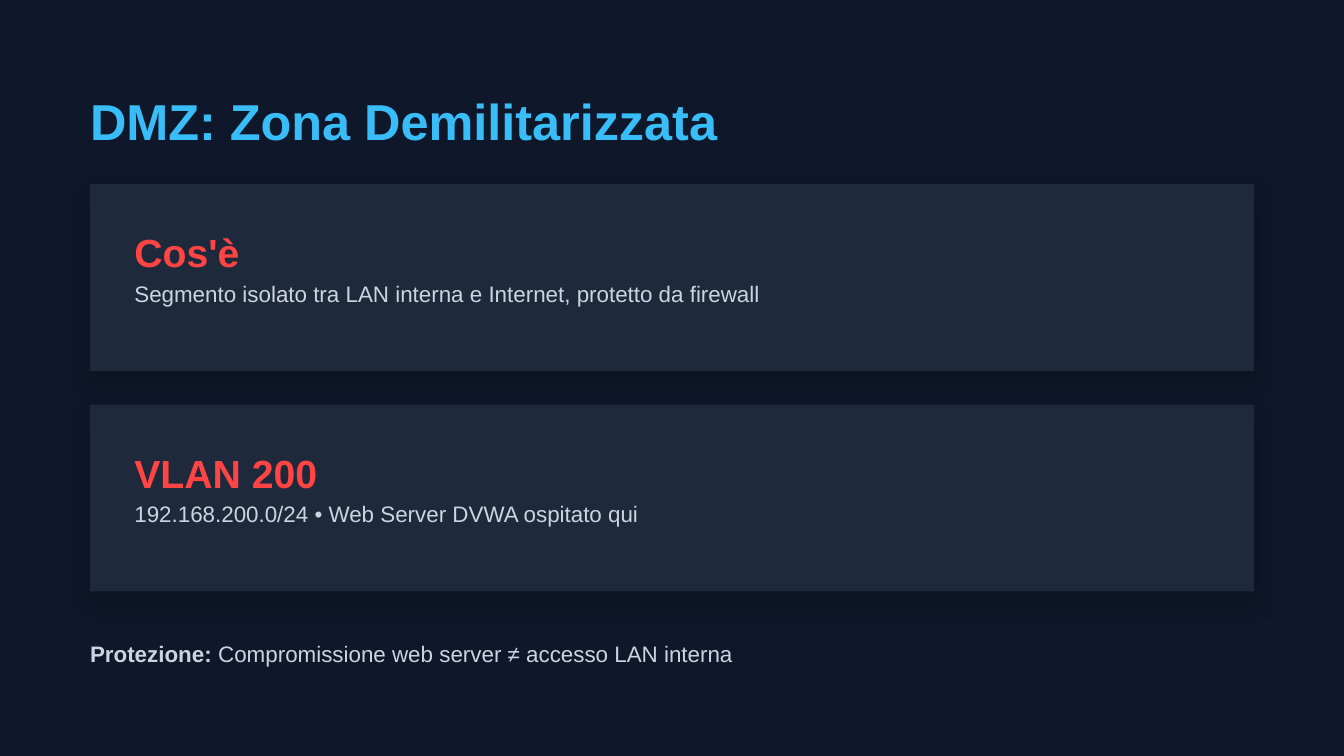
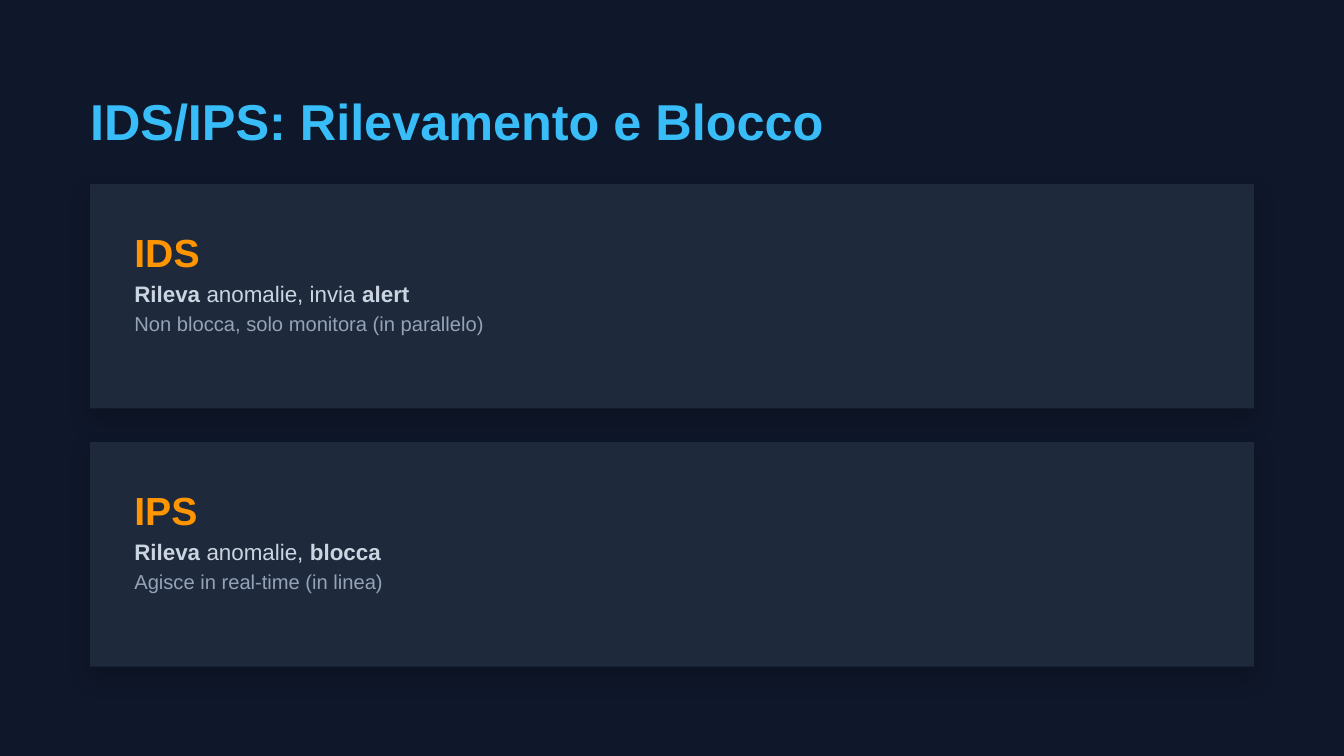
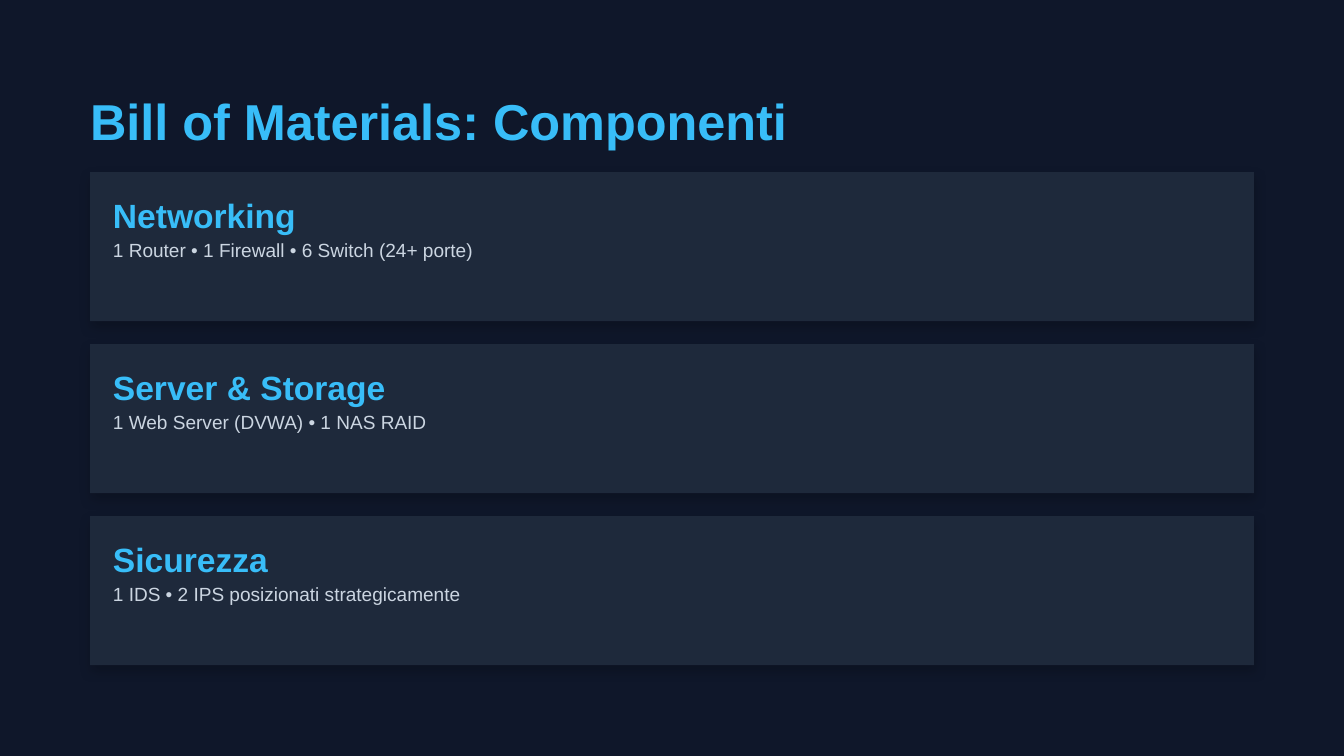
"""Build three dark slides of cards about network security."""

from dataclasses import dataclass

from lxml.etree import SubElement
from pptx import Presentation
from pptx.dml.color import RGBColor
from pptx.enum.shapes import MSO_SHAPE
from pptx.enum.text import MSO_ANCHOR, MSO_AUTO_SIZE, PP_ALIGN
from pptx.oxml.ns import qn
from pptx.shapes.autoshape import Shape
from pptx.slide import Slide
from pptx.util import Inches, Pt

COLORS = {
    "background": "0F172A",
    "card": "1E293B",
    "shadow": "000000",
    "sky": "38BDF8",
    "red": "FF4444",
    "orange": "FF9500",
    "body": "CBD5E1",
    "muted": "94A3B8",
}
FONT = "Arial"
MARGIN = 0.67
CONTENT_WIDTH = 10 - 2 * MARGIN
TEXT_SLACK = 1.02
TITLE_SIZE = 27
HEADING_LEADING = 1.2
BODY_LEADING = 1.4
TITLE_ONLY = 5


@dataclass(frozen=True)
class Card:
    heading: str
    detail: str
    note: str = ""


@dataclass(frozen=True)
class CardStyle:
    top: float
    height: float
    gap: float
    padding: float
    accent: str
    heading_size: float = 21
    detail_size: float = 12
    note_size: float = 10.8
    shadow_blur: float = 12
    shadow_distance: float = 6


@dataclass(frozen=True)
class Topic:
    title: str
    style: CardStyle
    cards: tuple[Card, ...]
    closing: str = ""
    closing_top: float = 4.73


TOPICS = (
    Topic(
        "DMZ: Zona Demilitarizzata",
        CardStyle(1.37, 1.39, 0.25, 0.33, "red"),
        (
            Card("Cos'è", "Segmento isolato tra LAN interna e Internet, protetto da firewall"),
            Card("VLAN 200", "192.168.200.0/24 • Web Server DVWA ospitato qui"),
        ),
        closing="**Protezione:** Compromissione web server ≠ accesso LAN interna",
    ),
    Topic(
        "IDS/IPS: Rilevamento e Blocco",
        CardStyle(1.37, 1.67, 0.25, 0.33, "orange"),
        (
            Card(
                "IDS",
                "**Rileva** anomalie, invia **alert**",
                "Non blocca, solo monitora (in parallelo)",
            ),
            Card(
                "IPS",
                "**Rileva** anomalie, **blocca**",
                "Agisce in real-time (in linea)",
            ),
        ),
    ),
    Topic(
        "Bill of Materials: Componenti",
        CardStyle(
            1.28, 1.11, 0.17, 0.17, "sky",
            heading_size=18, detail_size=10.2, shadow_blur=6, shadow_distance=3,
        ),
        (
            Card("Networking", "1 Router • 1 Firewall • 6 Switch (24+ porte)"),
            Card("Server & Storage", "1 Web Server (DVWA) • 1 NAS RAID"),
            Card("Sicurezza", "1 IDS • 2 IPS posizionati strategicamente"),
        ),
    ),
)


def rgb(color: str) -> RGBColor:
    return RGBColor.from_string(COLORS[color])


def write_line(
    slide: Slide,
    text: str,
    *,
    top: float,
    size: float,
    color: str,
    inset: float = 0,
    leading: float = BODY_LEADING,
    bold: bool = False,
    holder: Shape | None = None,
) -> float:
    height = size * leading / 72
    bounds = (
        Inches(MARGIN + inset),
        Inches(top),
        Inches((CONTENT_WIDTH - 2 * inset) * TEXT_SLACK),
        Inches(height),
    )
    if holder is None:
        holder = slide.shapes.add_textbox(*bounds)
    else:
        holder.left, holder.top, holder.width, holder.height = bounds
    frame = holder.text_frame
    frame.word_wrap = True
    frame.auto_size = MSO_AUTO_SIZE.NONE
    frame.vertical_anchor = MSO_ANCHOR.TOP
    frame.margin_left = frame.margin_right = frame.margin_top = frame.margin_bottom = 0
    paragraph = frame.paragraphs[0]
    paragraph.alignment = PP_ALIGN.LEFT
    paragraph.line_spacing = Pt(size * leading)
    paragraph.space_before = Pt(0)
    for index, part in enumerate(text.split("**")):
        if not part:
            continue
        run = paragraph.add_run()
        run.text = part
        run.font.name = FONT
        run.font.size = Pt(size)
        run.font.bold = bold or index % 2 == 1
        run.font.color.rgb = rgb(color)
    return top + height


def cast_shadow(panel: Shape, blur: float, distance: float) -> None:
    panel.shadow.inherit = False
    effects = panel._element.spPr.find(qn("a:effectLst"))
    shadow = SubElement(
        effects,
        qn("a:outerShdw"),
        blurRad=str(Pt(blur)),
        dist=str(Pt(distance)),
        dir=str(90 * 60000),
        algn="ctr",
        rotWithShape="0",
    )
    tint = SubElement(shadow, qn("a:srgbClr"), val=COLORS["shadow"])
    SubElement(tint, qn("a:alpha"), val="20000")


def draw_card(slide: Slide, card: Card, style: CardStyle, top: float) -> None:
    panel = slide.shapes.add_shape(
        MSO_SHAPE.RECTANGLE,
        Inches(MARGIN), Inches(top), Inches(CONTENT_WIDTH), Inches(style.height),
    )
    panel.fill.solid()
    panel.fill.fore_color.rgb = rgb("card")
    panel.line.fill.background()
    cast_shadow(panel, style.shadow_blur, style.shadow_distance)

    below = write_line(
        slide, card.heading, top=top + style.padding, inset=style.padding,
        size=style.heading_size, color=style.accent, leading=HEADING_LEADING, bold=True,
    )
    below = write_line(
        slide, card.detail, top=below, inset=style.padding,
        size=style.detail_size, color="body",
    )
    if card.note:
        write_line(
            slide, card.note, top=below, inset=style.padding,
            size=style.note_size, color="muted",
        )


def draw_topic(slide: Slide, topic: Topic) -> None:
    slide.background.fill.solid()
    slide.background.fill.fore_color.rgb = rgb("background")
    write_line(
        slide, topic.title, top=MARGIN, size=TITLE_SIZE, color="sky",
        leading=HEADING_LEADING, bold=True, holder=slide.shapes.title,
    )
    style = topic.style
    for row, card in enumerate(topic.cards):
        draw_card(slide, card, style, style.top + row * (style.height + style.gap))
    if topic.closing:
        write_line(
            slide, topic.closing, top=topic.closing_top,
            size=style.detail_size, color="body",
        )


def main() -> None:
    deck = Presentation()
    deck.slide_width = Inches(10)
    deck.slide_height = Inches(10 * 9 / 16)
    for topic in TOPICS:
        draw_topic(deck.slides.add_slide(deck.slide_layouts[TITLE_ONLY]), topic)
    deck.save("out.pptx")


if __name__ == "__main__":
    main()
